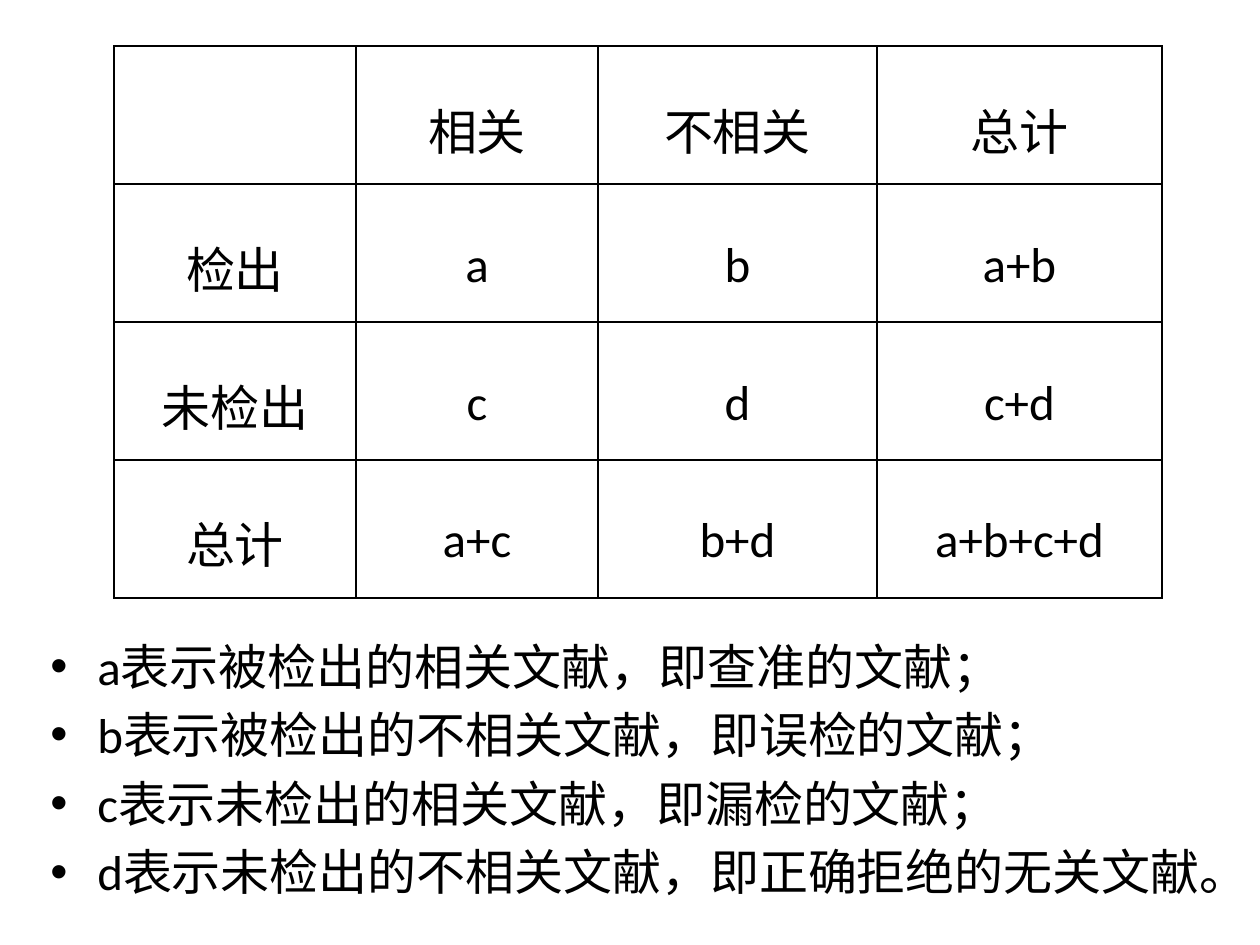
from lxml.etree import SubElement
from pptx import Presentation
from pptx.dml.color import RGBColor
from pptx.enum.text import MSO_ANCHOR as Anchor, PP_ALIGN as Align
from pptx.oxml.ns import qn
from pptx.util import Pt

PX = 914400 // 126
BLACK = "000000"
COLUMNS = [242, 242, 279, 285]
ROW_HEIGHT = 138
ROWS = [
    ["", "相关", "不相关", "总计"],
    ["检出", "a", "b", "a+b"],
    ["未检出", "c", "d", "c+d"],
    ["总计", "a+c", "b+d", "a+b+c+d"],
]
NOTES = [
    "a表示被检出的相关文献，即查准的文献；",
    "b表示被检出的不相关文献，即误检的文献；",
    "c表示未检出的相关文献，即漏检的文献；",
    "d表示未检出的不相关文献，即正确拒绝的无关文献。",
]


def px(n):
    return n * PX


def rgb(color):
    return RGBColor.from_string(color)


def set_font(p):
    p.font.name = "Calibri"
    p.font.size = Pt(28)
    p.font.color.rgb = rgb(BLACK)


def add_borders(cell, color):
    tc_pr = cell._tc.get_or_add_tcPr()
    for i, side in enumerate(("lnL", "lnR", "lnT", "lnB")):
        ln = tc_pr.makeelement(qn(f"a:{side}"), {"w": str(Pt(1))})
        fill = SubElement(ln, qn("a:solidFill"))
        SubElement(fill, qn("a:srgbClr"), val=color)
        tc_pr.insert(i, ln)


def fill_cell(cell, text):
    cell.fill.background()
    add_borders(cell, BLACK)
    cell.vertical_anchor = Anchor.MIDDLE
    cell.margin_left = cell.margin_right = px(9)
    cell.margin_top, cell.margin_bottom = px(10), 0
    p = cell.text_frame.paragraphs[0]
    p.text = text
    p.alignment = Align.CENTER
    p.line_spacing = 1.25
    set_font(p)


def add_grid(s, left, top):
    table = s.shapes.add_table(
        len(ROWS), len(COLUMNS), px(left), px(top),
        px(sum(COLUMNS)), px(ROW_HEIGHT * len(ROWS))).table
    table.first_row = table.horz_banding = False
    for column, width in zip(table.columns, COLUMNS):
        column.width = px(width)
    for row, texts in zip(table.rows, ROWS):
        row.height = px(ROW_HEIGHT)
        for cell, text in zip(row.cells, texts):
            fill_cell(cell, text)


def add_bullet(p, indent):
    p_pr = p._p.get_or_add_pPr()
    p_pr.set("marL", str(px(indent)))
    p_pr.set("indent", str(-px(indent)))
    SubElement(p_pr, qn("a:buFont"), typeface="Arial")
    SubElement(p_pr, qn("a:buChar"), char="•")


def add_bullets(s, left, top, width, height, lines):
    tf = s.shapes.add_textbox(px(left), px(top), px(width), px(height)).text_frame
    tf.word_wrap = True
    tf.margin_top = px(16)
    for i, line in enumerate(lines):
        p = tf.add_paragraph() if i else tf.paragraphs[0]
        p.text = line
        add_bullet(p, 47)
        if i:
            p.space_before = Pt(5.6)
        set_font(p)


def main():
    prs = Presentation()
    prs.slide_width, prs.slide_height = px(1260), px(945)
    s = prs.slides.add_slide(prs.slide_layouts[6])
    add_grid(s, 114, 46)
    add_bullets(s, 38, 620, 1201, 324, NOTES)
    prs.save("out.pptx")


if __name__ == "__main__":
    main()
